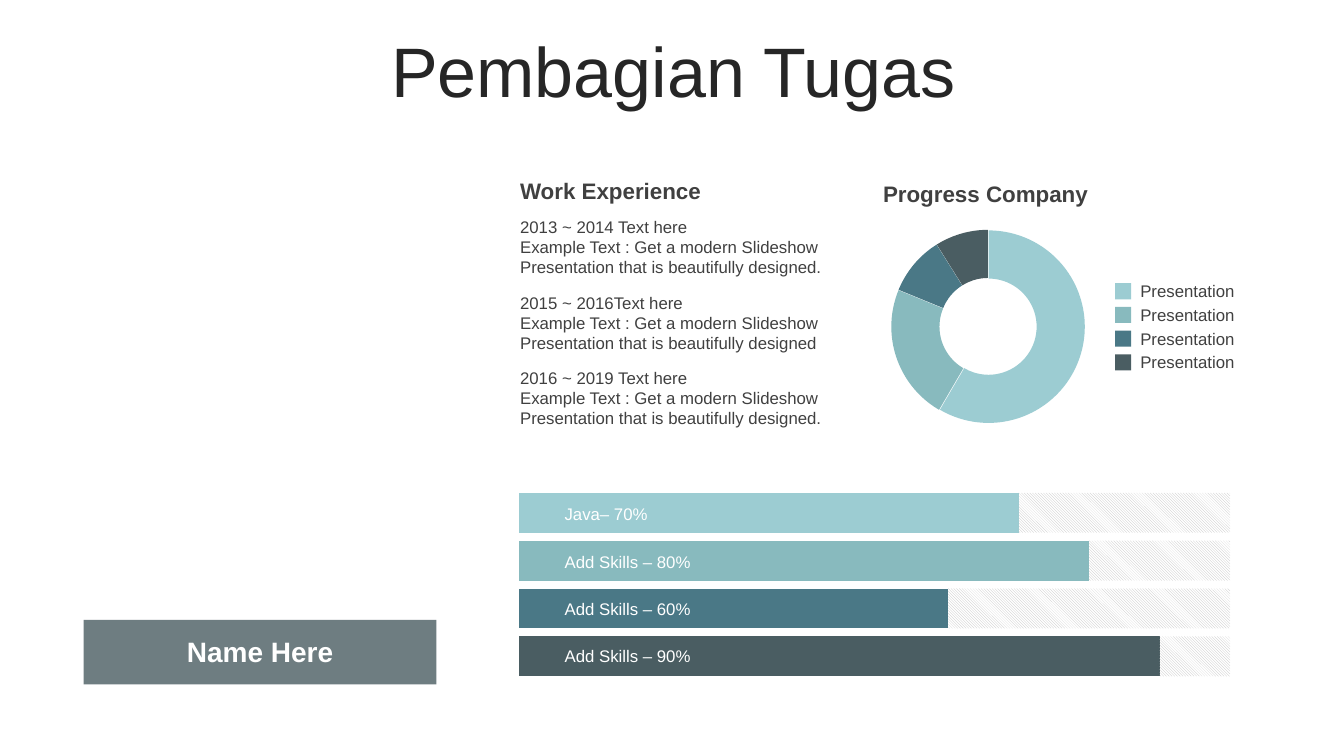
from dataclasses import dataclass

from lxml import etree
from pptx import Presentation
from pptx import util as u
from pptx.chart.data import CategoryChartData
from pptx.dml.color import RGBColor
from pptx.enum import chart as charts, dml, shapes, text
from pptx.oxml import ns

TITLE = "Pembagian Tugas"
EXPERIENCE_HEADING = "Work Experience"
PROGRESS_HEADING = "Progress Company"
NAME = "Name Here"
EXPERIENCE = [
    ("2013 ~ 2014 Text here",
     "Example Text : Get a modern Slideshow Presentation that is beautifully designed."),
    ("2015 ~ 2016Text here",
     "Example Text : Get a modern Slideshow Presentation that is beautifully designed"),
    ("2016 ~ 2019 Text here",
     "Example Text : Get a modern Slideshow Presentation that is beautifully designed."),
]
SKILLS = [
    ("Java– 70%", 78, 33),
    ("Add Skills – 80%", 89, 22),
    ("Add Skills – 60%", 67, 44),
    ("Add Skills – 90%", 100, 11),
]
PROGRESS = [("Presentation", 59), ("Presentation", 23),
            ("Presentation", 10), ("Presentation", 9)]
CATEGORIES = ["1", "2", "3", "4"]


@dataclass(frozen=True)
class Theme:
    font: str = "Arial"
    palette: tuple = ("9CCCD2", "88BABE", "4A7886", "4A5D62")
    title: str = "262626"
    ink: str = "404040"
    white: str = "FFFFFF"
    hatch: str = "BFBFBF"
    title_size: int = 50
    name_size: int = 20
    heading_size: int = 16
    body_size: int = 12


THEME = Theme()


def rgb(value):
    return RGBColor.from_string(value)


def inches(box):
    return [u.Inches(length) for length in box]


def write(frame, lines, size, color, bold=False, align=None):
    frame.word_wrap = True
    for index, line in enumerate(lines):
        paragraph = frame.paragraphs[0] if index == 0 else frame.add_paragraph()
        paragraph.text = line
        paragraph.alignment = align
        paragraph.font.name = THEME.font
        paragraph.font.size = u.Pt(size)
        paragraph.font.bold = bold
        paragraph.font.color.rgb = rgb(color)


def add_text(slide, box, lines, size=THEME.body_size, color=THEME.ink,
             bold=False, align=None, margins=None):
    frame = slide.shapes.add_textbox(*inches(box)).text_frame
    if margins:
        (frame.margin_left, frame.margin_top,
         frame.margin_right, frame.margin_bottom) = inches(margins)
    write(frame, lines, size, color, bold, align)
    return frame


def add_rectangle(slide, box, color):
    rectangle = slide.shapes.add_shape(shapes.MSO_SHAPE.RECTANGLE, *inches(box))
    rectangle.shadow.inherit = False
    rectangle.fill.solid()
    rectangle.fill.fore_color.rgb = rgb(color)
    rectangle.line.fill.background()
    return rectangle


def add_chart(slide, kind, box, plot_box, series, colors):
    data = CategoryChartData()
    data.categories = CATEGORIES
    for number, values in enumerate(series, 1):
        data.add_series(f"Series {number}", values)
    chart = slide.shapes.add_chart(kind, *inches(box), data).chart
    chart.has_legend = False
    chart.has_title = False
    chart.font.name = THEME.font
    chart.font.size = u.Pt(THEME.body_size)
    chart.font.color.rgb = rgb(THEME.ink)
    for index, color in enumerate(colors):
        fill = chart.plots[0].series[0].points[index].format.fill
        fill.solid()
        fill.fore_color.rgb = rgb(color)

    area = chart.element.find(".//" + ns.qn("c:plotArea"))
    for layout in area.findall(ns.qn("c:layout")):
        area.remove(layout)
    layout = etree.Element(ns.qn("c:layout"))
    manual = etree.SubElement(layout, ns.qn("c:manualLayout"))
    left, top, width, height = plot_box
    settings = [("layoutTarget", "inner"), ("xMode", "edge"), ("yMode", "edge"),
                ("x", left / box[2]), ("y", top / box[3]),
                ("w", width / box[2]), ("h", height / box[3])]
    for tag, value in settings:
        etree.SubElement(manual, ns.qn("c:" + tag), val=str(value))
    area.insert(0, layout)
    return chart


def add_skills(slide):
    rows = SKILLS[::-1]
    chart = add_chart(slide, charts.XL_CHART_TYPE.BAR_STACKED,
                      (4.81, 4.58, 8.8, 2.19), (0.34, 0.27, 8.46, 1.9),
                      [[row[1] for row in rows], [row[2] for row in rows]],
                      THEME.palette[::-1])
    plot = chart.plots[0]
    plot.gap_width = 20
    plot.overlap = 100
    plot.vary_by_categories = False
    hatch = plot.series[1].format.fill
    hatch.patterned()
    hatch.pattern = dml.MSO_PATTERN.LIGHT_DOWNWARD_DIAGONAL
    hatch.fore_color.rgb = rgb(THEME.hatch)
    hatch.back_color.rgb = rgb(THEME.white)
    chart.value_axis.minimum_scale = 0
    chart.value_axis.maximum_scale = 133.2
    chart.value_axis.has_major_gridlines = False
    chart.value_axis.visible = False
    chart.category_axis.visible = False
    for index, (label, _, _) in enumerate(SKILLS):
        add_text(slide, (5.6, 5 + index * 0.47, 2.23, 0.2), [label],
                 color=THEME.white, margins=(0, 0, 0, 0))


def add_progress(slide):
    chart = add_chart(slide, charts.XL_CHART_TYPE.DOUGHNUT,
                      (8.59, 2.14, 2.43, 2.2), (0.25, 0.14, 1.92, 1.92),
                      [[value for _, value in PROGRESS]], THEME.palette)
    first_point = chart.element.find(".//" + ns.qn("c:dPt"))
    first_point.addprevious(etree.Element(ns.qn("c:explosion"), val="1"))
    for index, ((label, _), color) in enumerate(zip(PROGRESS, THEME.palette)):
        top = 2.74 + index * 0.235
        add_rectangle(slide, (11.06, top + 0.07, 0.16, 0.16), color)
        add_text(slide, (11.31, top, 1.14, 0.3), [label], margins=(0, 0.05, 0, 0.05))
    add_text(slide, (8.66, 1.74, 2.63, 0.31), [PROGRESS_HEADING],
             THEME.heading_size, bold=True)


def add_experience(slide):
    heading = add_text(slide, (5.06, 1.74, 2.76, 0.31), [EXPERIENCE_HEADING],
                       THEME.heading_size, bold=True)
    heading.vertical_anchor = text.MSO_ANCHOR.MIDDLE
    for index, lines in enumerate(EXPERIENCE):
        add_text(slide, (5.06, 2.1 + index * 0.75, 3.48, 0.71), lines)


def add_name(slide):
    band = add_rectangle(slide, (0.83, 6.15, 3.5, 0.64), THEME.palette[3])
    color = band.fill._xPr.find(".//" + ns.qn("a:srgbClr"))
    etree.SubElement(color, ns.qn("a:alpha"), val="80000")
    add_text(slide, (0.83, 6.25, 3.5, 0.44), [NAME], THEME.name_size,
             THEME.white, bold=True, align=text.PP_ALIGN.CENTER)


def add_title(slide):
    title = slide.shapes.title
    title.left, title.top, title.width, title.height = inches((0.35, 0.37, 12.66, 0.79))
    frame = title.text_frame
    frame.auto_size = text.MSO_AUTO_SIZE.NONE
    frame.vertical_anchor = text.MSO_ANCHOR.MIDDLE
    write(frame, [TITLE], THEME.title_size, THEME.title, align=text.PP_ALIGN.CENTER)
    frame.paragraphs[0].line_spacing = 0.8


def main():
    presentation = Presentation()
    presentation.slide_width, presentation.slide_height = inches((13.33, 7.5))
    slide = presentation.slides.add_slide(presentation.slide_layouts[5])
    add_title(slide)
    add_skills(slide)
    add_progress(slide)
    add_experience(slide)
    add_name(slide)
    presentation.save("out.pptx")


if __name__ == "__main__":
    main()
